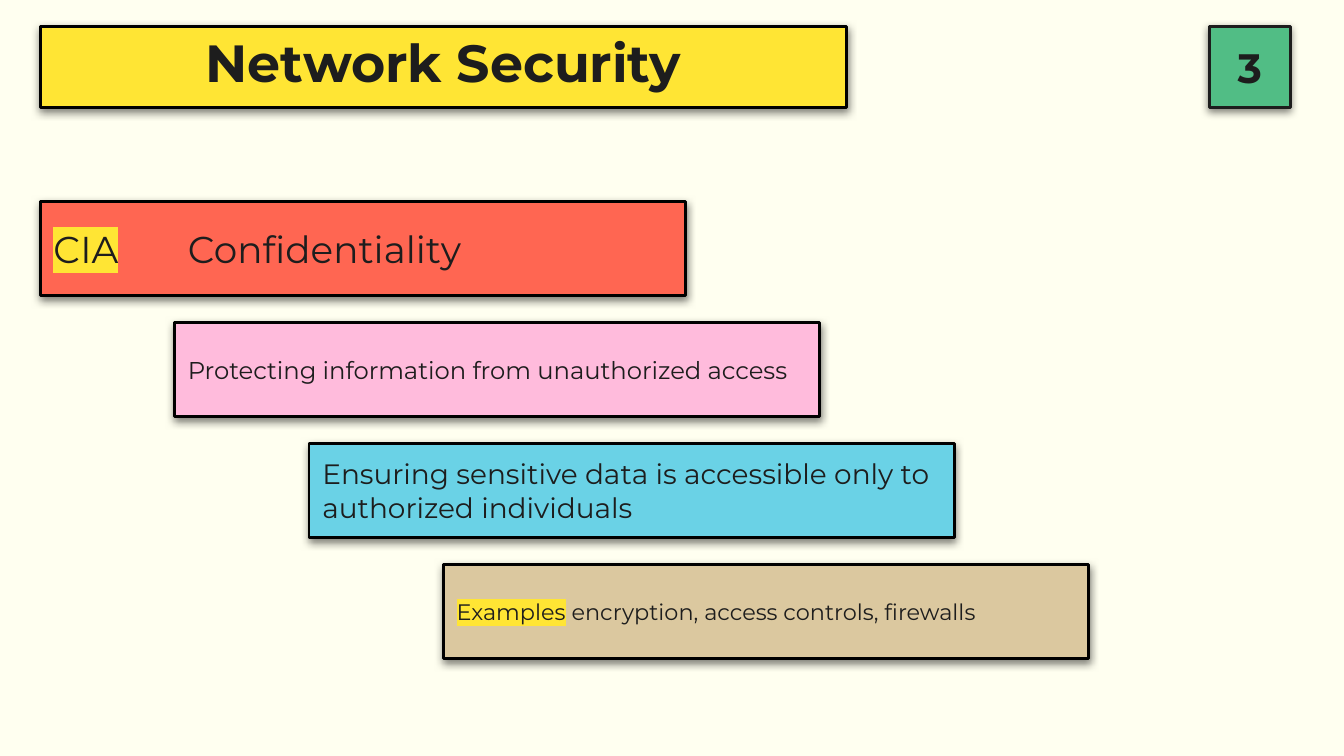
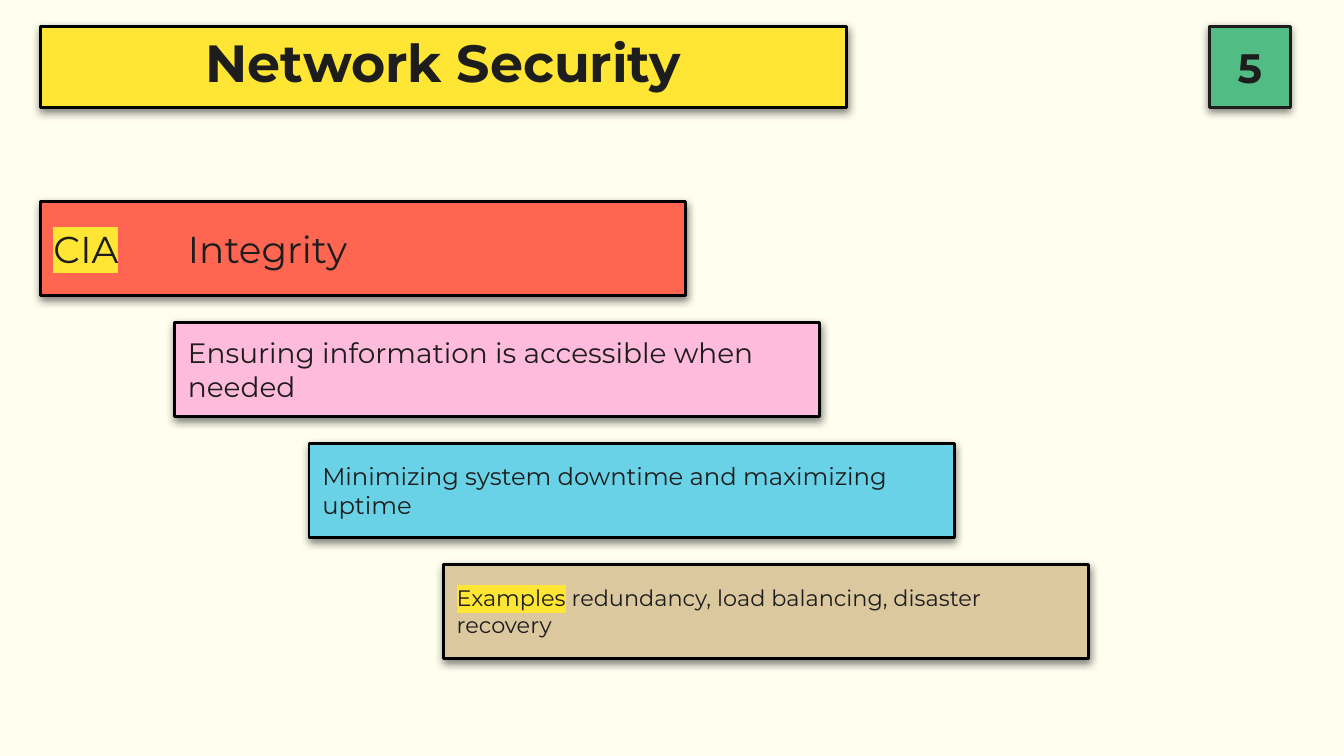
from lxml.etree import SubElement
from pptx import Presentation
from pptx.dml.color import RGBColor as RGB
from pptx.enum.shapes import MSO_SHAPE as Shape
from pptx.enum.text import MSO_ANCHOR as Anchor, PP_ALIGN as Align
from pptx.oxml.ns import qn
from pptx.util import Inches, Pt

FONT = "Montserrat"
COLORS = {
    "paper": "FFFFF0", "ink": "1D1D1D", "outline": "000000",
    "yellow": "FFE534", "green": "51BD85", "red": "FF6652",
    "pink": "FFBBDC", "blue": "6AD2E6", "sand": "DBC89F",
}
STEP_FILLS = ("red", "pink", "blue", "sand")
TITLE = "Network Security"
TITLE_BOX = (0.3, 0.2, 6, 0.6)
NUMBER_BOX = (9, 0.2, 0.6, 0.6)
STAIRS_BOX = (0.3, 1.5, 7.8, 3.4)
STEP_SIZE = (4.8, 0.7)

SLIDES = [
    ("3", [
        (20, "CIA", "\tConfidentiality"),
        (13, "", "Protecting information from unauthorized access"),
        (15, "", "Ensuring sensitive data is accessible only to authorized individuals"),
        (12, "Examples", " encryption, access controls, firewalls"),
    ]),
    ("5", [
        (20, "CIA", "\tIntegrity"),
        (15, "", "Ensuring information is accessible when needed"),
        (13, "", "Minimizing system downtime and maximizing uptime"),
        (12, "Examples", " redundancy, load balancing, disaster recovery"),
    ]),
]


def color(name):
    """Return the named colour."""
    return RGB.from_string(COLORS[name])


def add_shadow(card):
    """Give a card a soft shadow straight below it."""
    card.shadow.inherit = False
    effects = card._element.spPr.find(qn("a:effectLst"))
    shadow = SubElement(effects, qn("a:outerShdw"), blurRad=str(Pt(4.5)),
                        dist=str(Pt(1.5)), dir="5400000", algn="bl", rotWithShape="0")
    tint = SubElement(shadow, qn("a:srgbClr"), val=COLORS["outline"])
    SubElement(tint, qn("a:alpha"), val="50000")


def add_card(page, box, fill, outline="outline", align=Align.LEFT):
    """Add an outlined card and return its first paragraph."""
    card = page.shapes.add_shape(Shape.RECTANGLE, *map(Inches, box))
    card.fill.solid()
    card.fill.fore_color.rgb = color(fill)
    card.line.color.rgb = color(outline)
    card.line.width = Pt(1.5)
    SubElement(card.line._get_or_add_ln(), qn("a:round"))
    add_shadow(card)
    frame = card.text_frame
    frame.word_wrap = True
    frame.vertical_anchor = Anchor.MIDDLE
    frame.margin_left = frame.margin_right = Inches(0.1)
    frame.margin_top = frame.margin_bottom = Inches(0.1)
    para = frame.paragraphs[0]
    para.alignment = align
    return para


def add_tab_stop(para, position):
    """Set a left tab stop in a paragraph."""
    stops = SubElement(para._p.get_or_add_pPr(), qn("a:tabLst"))
    SubElement(stops, qn("a:tab"), pos=str(Inches(position)), algn="l")


def add_span(para, text, size, bold=False, marked=False):
    """Add a run of text, with a marker behind it if asked."""
    span = para.add_run()
    span.text = text
    span.font.size = Pt(size)
    span.font.bold = bold
    span.font.color.rgb = color("ink")
    if marked:
        marker = SubElement(span.font._element, qn("a:highlight"))
        SubElement(marker, qn("a:srgbClr"), val=COLORS["yellow"])
    span.font.name = FONT


def add_title(page, box):
    """Add the title band."""
    para = add_card(page, box, "yellow", align=Align.CENTER)
    para.line_spacing = 0.8
    add_span(para, TITLE, 28, bold=True)


def add_number(page, box, number):
    """Add the page number tile."""
    para = add_card(page, box, "green", "ink", Align.CENTER)
    add_span(para, number, 22, bold=True)


def add_stairs(page, box, steps):
    """Lay the steps from the top left to the bottom right of the box."""
    left, top, width, height = box
    step_width, step_height = STEP_SIZE
    gaps = len(steps) - 1
    shift = (width - step_width) / gaps
    drop = (height - step_height) / gaps
    for index, (fill, (size, label, text)) in enumerate(zip(STEP_FILLS, steps)):
        place = (left + index * shift, top + index * drop, step_width, step_height)
        para = add_card(page, place, fill)
        if "\t" in text:
            add_tab_stop(para, shift)
        if label:
            add_span(para, label, size, marked=True)
        add_span(para, text, size)


def add_page(deck, number, steps):
    """Add one slide with its title, number and stairs."""
    page = deck.slides.add_slide(deck.slide_layouts[6])
    page.background.fill.solid()
    page.background.fill.fore_color.rgb = color("paper")
    add_number(page, NUMBER_BOX, number)
    add_title(page, TITLE_BOX)
    add_stairs(page, STAIRS_BOX, steps)


def main():
    """Build and save the deck."""
    deck = Presentation()
    deck.slide_width = Inches(10)
    deck.slide_height = deck.slide_width * 9 // 16
    for number, steps in SLIDES:
        add_page(deck, number, steps)
    deck.save("out.pptx")


if __name__ == "__main__":
    main()
